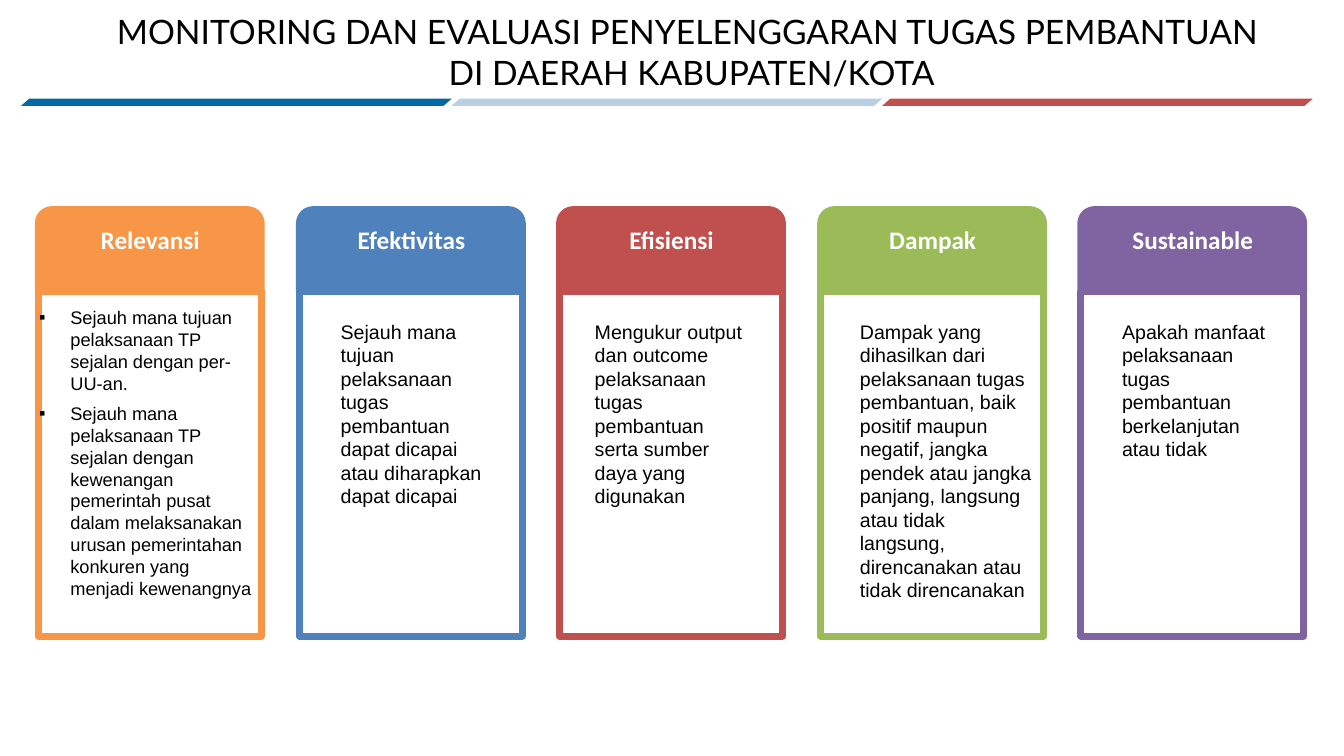
from dataclasses import dataclass

from lxml.etree import SubElement
from pptx import Presentation
from pptx.dml.color import RGBColor
from pptx.enum.shapes import MSO_SHAPE
from pptx.enum.text import MSO_ANCHOR, MSO_AUTO_SIZE, PP_ALIGN
from pptx.oxml.ns import qn
from pptx.util import Emu, Pt


@dataclass(frozen=True)
class Theme:
    black: str = "000000"
    white: str = "FFFFFF"
    orange: str = "F79646"
    blue: str = "4F81BD"
    red: str = "C0504D"
    green: str = "9BBB59"
    purple: str = "8064A2"
    navy: str = "016AA3"
    pale_blue: str = "B9CDE5"
    title_font: str = "Lato"
    heading_font: str = "Calibri"
    body_font: str = "Arial"
    title_size: int = 24
    heading_size: int = 18
    body_size: int = 14
    list_size: int = 13
    frame_width: int = 5


THEME = Theme()
INDENT = 31


def px(length):
    """Turn px, 100 to the inch, into EMU."""
    return Emu(length * 9144)


def write(frame, paragraphs, *, font, size, color=THEME.black, bold=False,
          align=PP_ALIGN.LEFT, indent=0, bullet=None, space_after=0):
    for number, text in enumerate(paragraphs):
        para = frame.paragraphs[0] if number == 0 else frame.add_paragraph()
        para.alignment = align
        if number < len(paragraphs) - 1:
            para.space_after = Pt(space_after)
        span = para.add_run()
        span.text = text
        span.font.name = font
        span.font.size = Pt(size)
        span.font.bold = bold
        span.font.color.rgb = RGBColor.from_string(color)
        properties = para._p.get_or_add_pPr()
        if indent:
            properties.set("marL", str(px(indent)))
            properties.set("indent", str(px(-indent if bullet else 0)))
        if bullet:
            SubElement(properties, qn("a:buFont"), typeface=font)
            SubElement(properties, qn("a:buChar"), char=bullet)


class SlideBuilder:
    def __init__(self, deck, theme):
        self.theme = theme
        self.page = deck.slides.add_slide(deck.slide_layouts[5])

    def title(self, lines, left, top, width, height):
        box = self.page.shapes.title
        box.left, box.top, box.width, box.height = map(px, (left, top, width, height))
        frame = box.text_frame
        frame.word_wrap = True
        frame.auto_size = MSO_AUTO_SIZE.NONE
        frame.vertical_anchor = MSO_ANCHOR.MIDDLE
        frame.margin_left = frame.margin_right = px(13)
        frame.margin_top = frame.margin_bottom = px(7)
        write(frame, lines, font=self.theme.title_font,
              size=self.theme.title_size, align=PP_ALIGN.CENTER)

    def shape(self, kind, left, top, width, height, fill, line=None):
        box = self.page.shapes.add_shape(kind, *map(px, (left, top, width, height)))
        box.shadow.inherit = False
        box.fill.solid()
        box.fill.fore_color.rgb = RGBColor.from_string(fill)
        if line:
            box.line.color.rgb = RGBColor.from_string(line)
            box.line.width = Pt(self.theme.frame_width)
        else:
            box.line.fill.background()
        return box

    def text(self, paragraphs, left, top, width, height, **style):
        box = self.page.shapes.add_textbox(*map(px, (left, top, width, height)))
        box.text_frame.word_wrap = True
        box.text_frame.auto_size = MSO_AUTO_SIZE.SHAPE_TO_FIT_TEXT
        write(box.text_frame, paragraphs, **style)

    def stripe(self, left, color):
        bar = self.shape(MSO_SHAPE.PARALLELOGRAM, left, 98, 427, 7, color)
        bar.adjustments[0] = 1.144

    def card(self, left, color, heading):
        self.shape(MSO_SHAPE.RECTANGLE, left, 289, 221, 342, self.theme.white, color)
        self.shape(MSO_SHAPE.ROUND_2_SAME_RECTANGLE, left, 208, 221, 81, color, color)
        self.text([heading], left + 30, 218, 162, 40,
                  font=self.theme.heading_font, size=self.theme.heading_size,
                  color=self.theme.white, bold=True, align=PP_ALIGN.CENTER)


RELEVANCE = [
    "Sejauh mana tujuan pelaksanaan TP sejalan dengan per-UU-an.",
    "Sejauh mana pelaksanaan TP sejalan dengan kewenangan pemerintah pusat "
    "dalam melaksanakan urusan pemerintahan konkuren yang menjadi kewenangnya",
]
EFFECTIVENESS = ["Sejauh mana tujuan pelaksanaan tugas pembantuan dapat dicapai "
                 "atau diharapkan dapat dicapai"]
EFFICIENCY = ["Mengukur output dan outcome pelaksanaan tugas pembantuan "
              "serta sumber daya yang digunakan"]
IMPACT = ["Dampak yang dihasilkan dari pelaksanaan tugas pembantuan, baik positif "
          "maupun negatif, jangka pendek atau jangka panjang, langsung atau tidak "
          "langsung, direncanakan atau tidak direncanakan"]
SUSTAINABILITY = ["Apakah manfaat pelaksanaan tugas pembantuan berkelanjutan "
                  "atau tidak"]

BODY = {"font": THEME.body_font, "size": THEME.body_size}
INDENTED = BODY | {"indent": INDENT}
LISTED = {"font": THEME.body_font, "size": THEME.list_size,
          "indent": INDENT, "bullet": "▪", "space_after": 6}

# heading, colour, body, (offset from card, top, width, height), style
CARDS = [
    ("Relevansi", THEME.orange, RELEVANCE, (-9, 299, 231, 325), LISTED),
    ("Efektivitas", THEME.blue, EFFECTIVENESS, (0, 312, 192, 199), INDENTED),
    ("Efisiensi", THEME.red, EFFICIENCY, (-6, 312, 199, 199), INDENTED),
    ("Dampak", THEME.green, IMPACT, (29, 312, 192, 293), BODY),
    ("Sustainable", THEME.purple, SUSTAINABILITY, (31, 312, 162, 151), BODY),
]


def main():
    deck = Presentation()
    deck.slide_width, deck.slide_height = px(1333), px(750)
    slide = SlideBuilder(deck, THEME)

    slide.title(["MONITORING DAN EVALUASI PENYELENGGARAN TUGAS PEMBANTUAN ",
                 "DI DAERAH KABUPATEN/KOTA"], 37, -1, 1298, 104)
    for number, color in enumerate((THEME.navy, THEME.pale_blue, THEME.red)):
        slide.stripe(21 + 427 * number, color)

    for number, (heading, color, body, place, style) in enumerate(CARDS):
        left = 38 + (517 * number + 1) // 2
        offset, top, width, height = place
        slide.card(left, color, heading)
        slide.text(body, left + offset, top, width, height, **style)

    deck.save("out.pptx")


if __name__ == "__main__":
    main()
